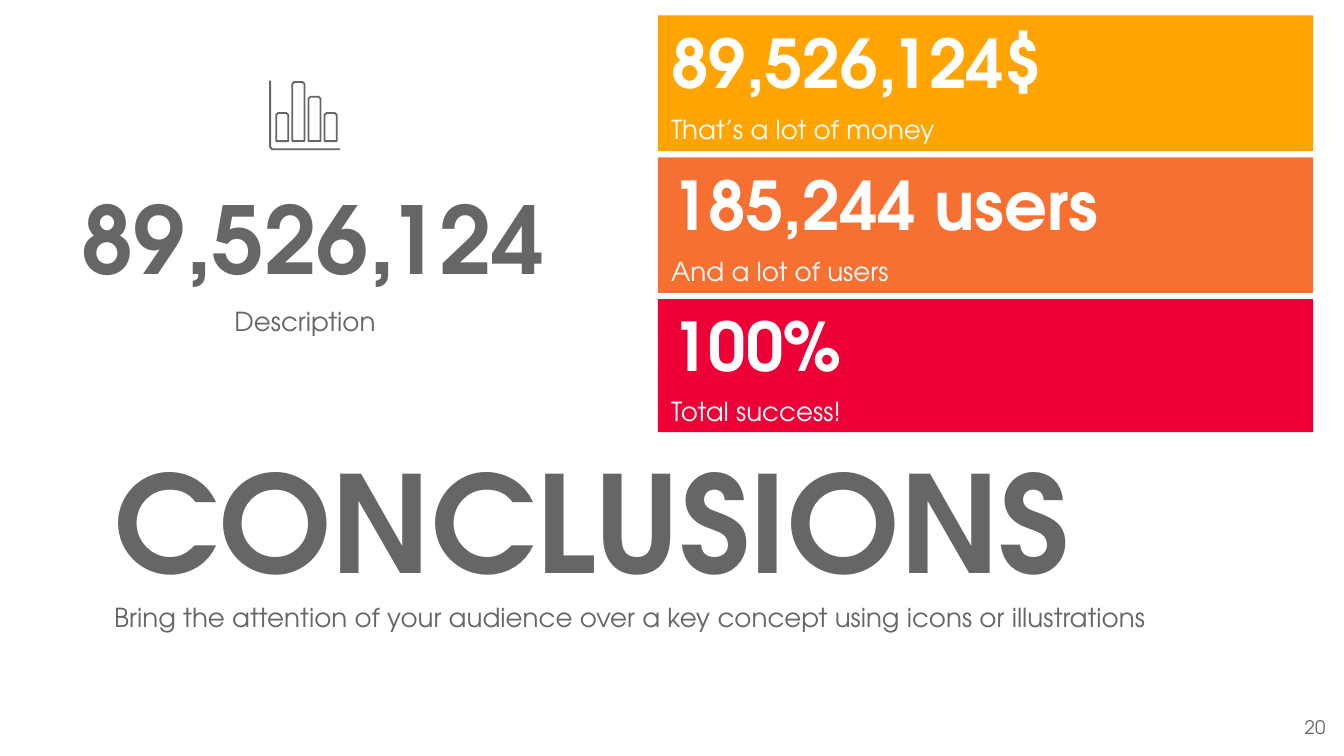
from dataclasses import dataclass
from typing import NamedTuple

from pptx import Presentation
from pptx.dml.color import RGBColor as Rgb
from pptx.enum.shapes import MSO_SHAPE as Kind
from pptx.enum.text import MSO_ANCHOR as Anchor, MSO_AUTO_SIZE as Auto, PP_ALIGN as Align
from pptx.util import Emu, Pt

PX = 4572
PAD = 20


@dataclass(frozen=True)
class Theme:
    font: str = "TeX Gyre Adventor"
    grey: str = "666666"
    white: str = "FFFFFF"
    amber: str = "FFA400"
    orange: str = "F67031"
    red: str = "ED0036"
    title: int = 72
    number: int = 50
    stat: int = 36
    body: int = 14
    page: int = 10
    stroke: float = 0.96


class Box(NamedTuple):
    left: int
    top: int
    width: int
    height: int


class Line(NamedTuple):
    text: str
    size: int
    color: str
    bold: bool = False
    align: Align = Align.LEFT
    before: int = 0
    space: float = 1.0


class Card(NamedTuple):
    value: str
    note: str
    fill: str
    height: int


THEME = Theme()
CARDS = [
    Card("89,526,124$", "That’s a lot of money", THEME.amber, 202),
    Card("185,244 users", "And a lot of users", THEME.orange, 202),
    Card("100%", "Total success!", THEME.red, 198),
]
BARS = [168, 122, 144, 168]
AXIS = [(402, 120), (402, 219), (405, 222), (506, 222)]


def scale(box: Box) -> list[Emu]:
    return [Emu(n * PX) for n in box]


def place(shape, box: Box) -> None:
    shape.left, shape.top, shape.width, shape.height = scale(box)


def write(shape, lines: list[Line], anchor: Anchor = Anchor.TOP) -> None:
    frame = shape.text_frame
    frame.word_wrap = True
    frame.auto_size = Auto.NONE
    frame.vertical_anchor = anchor
    frame.margin_left = frame.margin_right = Emu(PAD * PX)
    frame.margin_top = frame.margin_bottom = Emu(PAD * PX)
    for i, line in enumerate(lines):
        para = frame.paragraphs[0] if i == 0 else frame.add_paragraph()
        para.text = line.text
        para.alignment = line.align
        para.space_before = Pt(line.before)
        para.line_spacing = line.space
        font = para.font
        font.name = THEME.font
        font.size = Pt(line.size)
        font.bold = line.bold
        font.color.rgb = Rgb.from_string(line.color)


def label(slide, box: Box, line: Line, anchor: Anchor = Anchor.TOP) -> None:
    write(slide.shapes.add_textbox(*scale(box)), [line], anchor)


def draw_card(slide, card: Card, top: int) -> None:
    box = Box(979, top, 975, card.height)
    shape = slide.shapes.add_shape(Kind.RECTANGLE, *scale(box))
    shape.shadow.inherit = False
    shape.fill.solid()
    shape.fill.fore_color.rgb = Rgb.from_string(card.fill)
    shape.line.fill.background()
    write(shape, [
        Line(card.value, THEME.stat, THEME.white, bold=True),
        Line(card.note, THEME.body, THEME.white, before=6),
    ], Anchor.MIDDLE)


def trace(group, points: list[tuple[int, int]], close: bool) -> None:
    pen = group.shapes.build_freeform(*points[0], scale=PX)
    pen.add_line_segments(points[1:], close=close)
    shape = pen.convert_to_shape()
    shape.shadow.inherit = False
    shape.fill.background()
    shape.line.color.rgb = Rgb.from_string(THEME.grey)
    shape.line.width = Pt(THEME.stroke)


def outline(left: int, top: int) -> list[tuple[int, int]]:
    right, base, cut = left + 18, 210, 3
    return [(right, base), (right, top + cut), (right - cut, top),
            (left + cut, top), (left, top + cut), (left, base)]


def main() -> None:
    deck = Presentation()
    deck.slide_width, deck.slide_height = Emu(2000 * PX), Emu(1125 * PX)
    slide = deck.slides.add_slide(deck.slide_layouts[0])

    title, sub = slide.placeholders
    place(title, Box(150, 634, 1700, 254))
    write(title, [Line("CONCLUSIONS", THEME.title, THEME.grey, bold=True)])
    place(sub, Box(150, 868, 1700, 172))
    write(sub, [Line("Bring the attention of your audience over a key concept "
                     "using icons or illustrations",
                     THEME.body, THEME.grey, space=1.15)])

    label(slide, Box(1872, 1039, 120, 86),
          Line("20", THEME.page, THEME.grey, align=Align.RIGHT), Anchor.MIDDLE)
    for i, card in enumerate(CARDS):
        draw_card(slide, card, 23 + 211 * i)

    label(slide, Box(28, 249, 876, 222),
          Line("89,526,124", THEME.number, THEME.grey, bold=True, align=Align.CENTER))
    label(slide, Box(150, 428, 608, 98),
          Line("Description", THEME.body, THEME.grey, align=Align.CENTER, space=1.15))

    icon = slide.shapes.add_group_shape()
    trace(icon, AXIS, close=False)
    for i, top in enumerate(BARS):
        trace(icon, outline(411 + 24 * i, top), close=True)
    deck.save("out.pptx")


if __name__ == "__main__":
    main()
